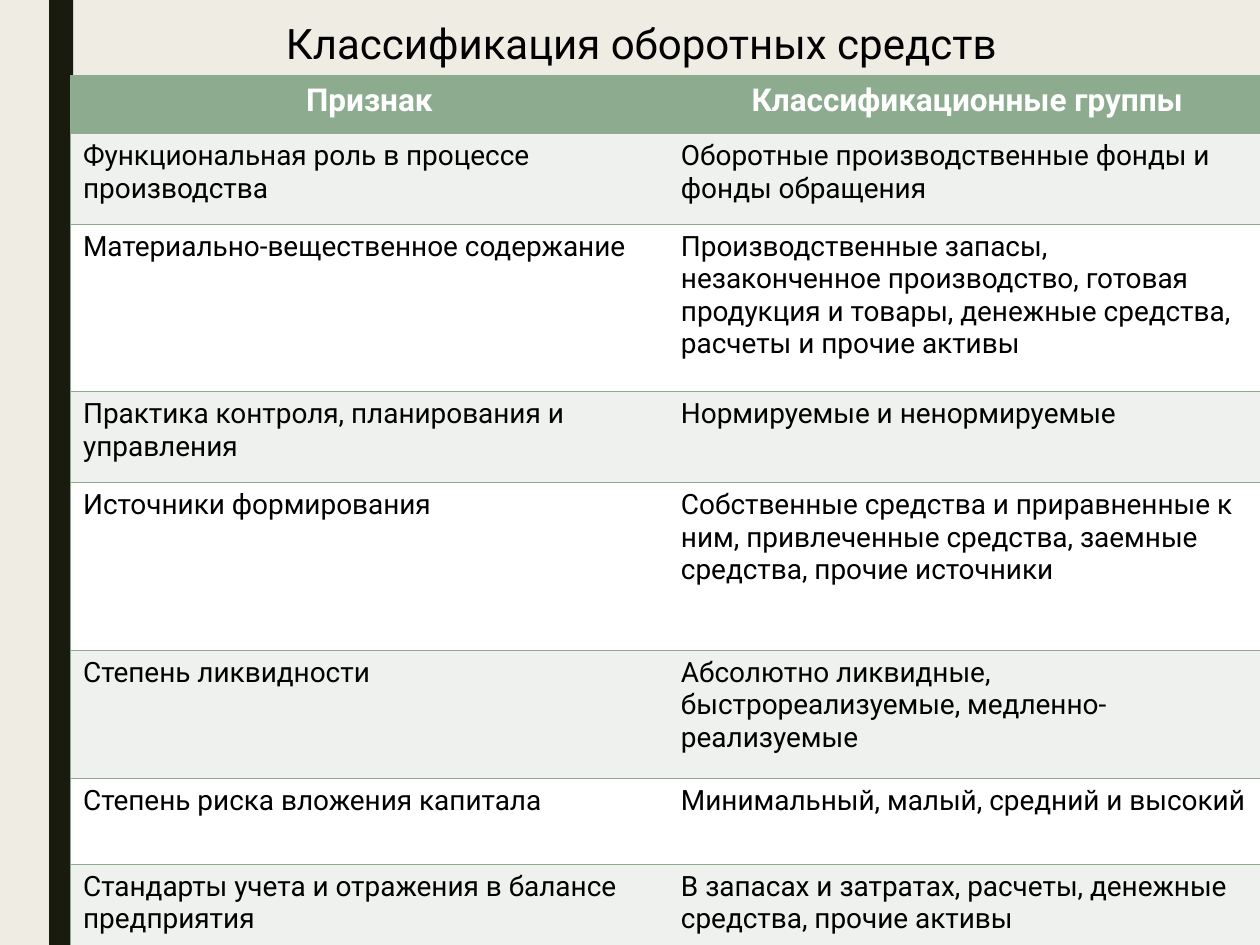
from pptx import Presentation
from pptx.dml.color import RGBColor
from pptx.enum.shapes import MSO_SHAPE
from pptx.enum.text import MSO_ANCHOR, PP_ALIGN
from pptx.oxml import parse_xml
from pptx.oxml.ns import nsdecls
from pptx.util import Inches, Pt

FONT = "Roboto"
GREEN, PALE, WHITE, BLACK = "8DAB8E", "EEF1EE", "FFFFFF", "000000"
NO_GRID_STYLE = "{2D5ABB26-0587-4C30-8999-92F81FD0307C}"
BORDER_WIDTH = Pt(0.45)
ROW_HEIGHTS = [0.46, 0.72, 1.33, 0.72, 1.33, 1.02, 0.68, 0.67]
HEADINGS = ("Признак", "Классификационные группы")
CLASSIFICATION = [
    ("Функциональная роль в процессе производства",
     "Оборотные производственные фонды и фонды обращения"),
    ("Материально-вещественное содержание",
     "Производственные запасы, незаконченное производство, готовая продукция "
     "и товары, денежные средства, расчеты и прочие активы"),
    ("Практика контроля, планирования и управления",
     "Нормируемые и ненормируемые"),
    ("Источники формирования",
     "Собственные средства и приравненные к ним, привлеченные средства, "
     "заемные средства, прочие источники"),
    ("Степень ликвидности",
     "Абсолютно ликвидные, быстрореализуемые, медленно-реализуемые"),
    ("Степень риска вложения капитала",
     "Минимальный, малый, средний и высокий"),
    ("Стандарты учета и отражения в балансе предприятия",
     "В запасах и затратах, расчеты, денежные средства, прочие активы"),
]


def paint(fill, color):
    """Make a fill solid in the given hex color."""
    fill.solid()
    fill.fore_color.rgb = RGBColor.from_string(color)


def write(frame, text, size, color, bold=False, align=PP_ALIGN.LEFT):
    """Put one formatted run in the first paragraph and return the paragraph."""
    paragraph = frame.paragraphs[0]
    paragraph.alignment = align
    run = paragraph.add_run()
    run.text = text
    run.font.name = FONT
    run.font.size = Pt(size)
    run.font.bold = bold
    paint(run.font.fill, color)
    return paragraph


def add_side_bar(slide, left, top, width, height):
    """Draw the dark vertical bar."""
    bar = slide.shapes.add_shape(MSO_SHAPE.RECTANGLE, left, top, width, height)
    bar.shadow.inherit = False
    paint(bar.fill, "191B0E")
    bar.line.fill.background()


def add_title(slide, left, top, width, height):
    """Place the centred slide title."""
    frame = slide.shapes.add_textbox(left, top, width, height).text_frame
    frame.word_wrap = True
    frame.vertical_anchor = MSO_ANCHOR.MIDDLE
    heading = write(frame, "Классификация оборотных средств", 24, BLACK,
                    align=PP_ALIGN.CENTER)
    heading.line_spacing = 0.89


def add_border(cell, side):
    """Add a thin green border on one side of a cell."""
    cell._tc.get_or_add_tcPr().append(parse_xml(
        f'<a:ln{side} {nsdecls("a")} w="{BORDER_WIDTH}"><a:solidFill>'
        f'<a:srgbClr val="{GREEN}"/></a:solidFill></a:ln{side}>'))


def add_classification(slide, left, top, width, height):
    """Build the two-column table of features and groups."""
    rows = [HEADINGS] + CLASSIFICATION
    table = slide.shapes.add_table(
        len(rows), len(HEADINGS), left, top, width, height).table
    table._tbl.tblPr[0].text = NO_GRID_STYLE
    for column in table.columns:
        column.width = width // len(HEADINGS)
    for i, (texts, row_height) in enumerate(zip(rows, ROW_HEIGHTS)):
        table.rows[i].height = Inches(row_height)
        for j, text in enumerate(texts):
            cell = table.cell(i, j)
            for side in ("LR"[j], "T", "B"):
                add_border(cell, side)
            if i == 0:
                paint(cell.fill, GREEN)
                write(cell.text_frame, text, 18, WHITE, True, PP_ALIGN.CENTER)
            else:
                paint(cell.fill, PALE if i % 2 else WHITE)
                write(cell.text_frame, text, 16, BLACK)


def main():
    """Build and save the presentation."""
    deck = Presentation()
    deck.slide_width, deck.slide_height = Inches(10), Inches(7.5)
    slide = deck.slides.add_slide(deck.slide_layouts[6])
    paint(slide.background.fill, "EFEDE3")
    add_side_bar(slide, Inches(0.39), 0, Inches(0.19), deck.slide_height)
    add_title(slide, Inches(0.59), Inches(0.13), Inches(9), Inches(0.47))
    add_classification(slide, Inches(0.56), Inches(0.6), Inches(9.49),
                       Inches(sum(ROW_HEIGHTS)))
    deck.save("out.pptx")


if __name__ == "__main__":
    main()
